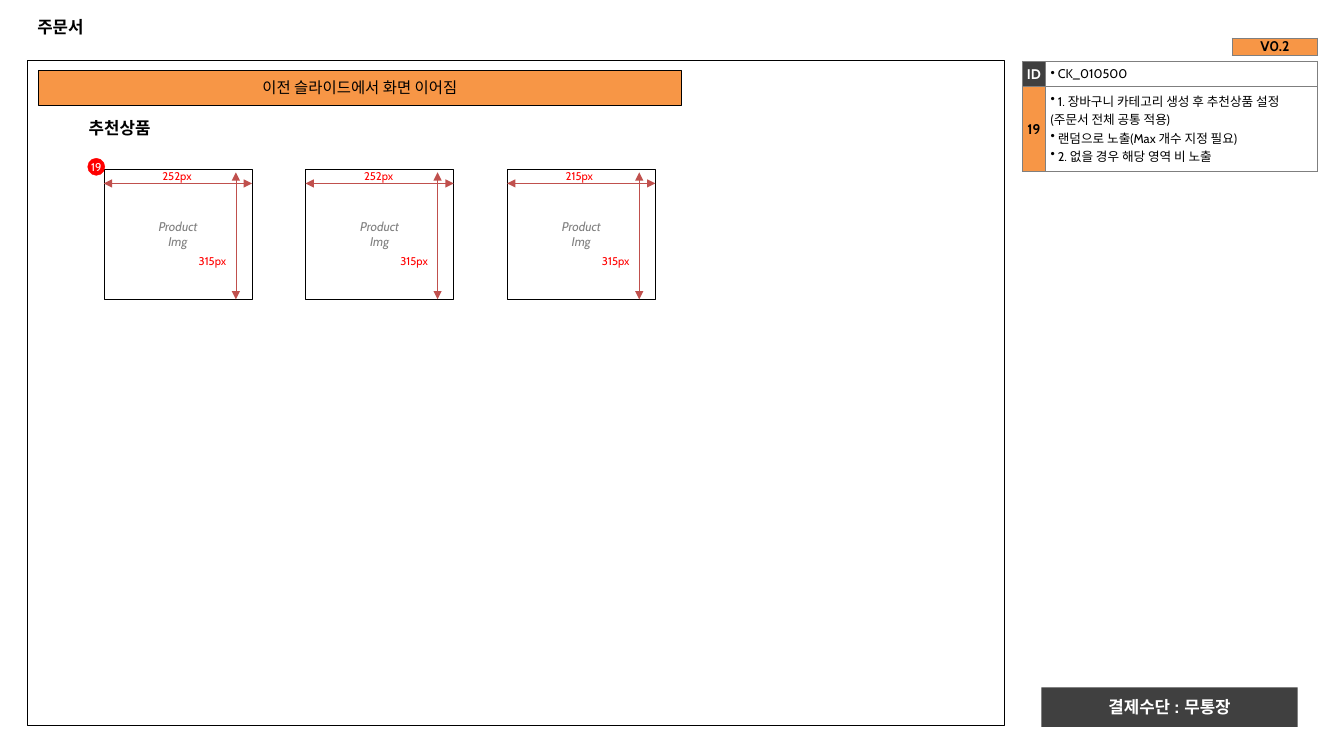
from dataclasses import dataclass

from lxml import etree
from pptx import Presentation
from pptx import util as u
from pptx.dml.color import RGBColor
from pptx.enum import shapes, text
from pptx.oxml import ns

PX = 9144  # 100 px to the inch
HEX = {
    "black": "000000", "white": "FFFFFF", "dark": "404040", "grey": "7F7F7F",
    "hint": "808080", "orange": "F79646", "red": "FF0000", "brick": "C0504D",
}
RECT = shapes.MSO_SHAPE.RECTANGLE
OVAL = shapes.MSO_SHAPE.OVAL
MID = text.MSO_ANCHOR.MIDDLE
LEFT, CENTER = text.PP_ALIGN.LEFT, text.PP_ALIGN.CENTER


@dataclass(frozen=True)
class Box:
    x: int
    y: int
    w: int
    h: int

    def emu(self) -> tuple:
        return tuple(u.Emu(n * PX) for n in (self.x, self.y, self.w, self.h))


@dataclass(frozen=True)
class Style:
    size: int
    color: str = "black"
    bold: bool = False
    italic: bool = False
    font: str = "Cabin"
    align: int = CENTER


@dataclass(frozen=True)
class Card:
    """A product frame with its width label."""
    x: int
    width: str


@dataclass(frozen=True)
class Cell:
    words: str
    style: Style
    fill: str = ""
    pad: int = 0
    bullet: bool = False


HEAD = Style(12, bold=True, font="Arial", align=LEFT)
PART = Style(12, bold=True, align=LEFT)
PAY = Style(12, "white", bold=True, font="Arial")
BAR = Style(11)
HINT = Style(9, "hint", italic=True)
SIZE = Style(8, "red", align=LEFT)
BADGE = Style(8, "white")
TAG = Style(10, bold=True)
KEY = Style(10, "white", bold=True)
NOTE = Style(9, align=LEFT)

CARDS = [Card(103 + 200 * i, width)
         for i, width in enumerate(("252px", "252px", "215px"))]
NOTES = [
    [Cell("ID", KEY, "dark"), Cell(" CK_010500", NOTE, pad=5, bullet=True)],
    [Cell("19", TAG, "orange"),
     Cell(" 1. 장바구니 카테고리 생성 후 추천상품 설정(주문서 전체 공통 적용)\n"
          " 랜덤으로 노출(Max 개수 지정 필요)\n"
          " 2. 없을 경우 해당 영역 비 노출", NOTE, pad=5, bullet=True)],
]


def rgb(name: str) -> RGBColor:
    return RGBColor.from_string(HEX[name])


def write(frame, words: str, style: Style, bullet: bool = False) -> None:
    frame.text = words
    for para in frame.paragraphs:
        para.alignment = style.align
        if bullet:
            props = para._p.get_or_add_pPr()
            props.set("marL", "0")
            props.set("indent", "0")
            etree.SubElement(props, ns.qn("a:buChar")).set("char", "•")
        for run in para.runs:
            font = run.font
            font.name, font.size = style.font, u.Pt(style.size)
            font.bold, font.italic = style.bold, style.italic
            font.color.rgb = rgb(style.color)


def inset(frame, pad: int) -> None:
    """Set the same margin on all sides of a text frame or cell."""
    for side in ("left", "top", "right", "bottom"):
        setattr(frame, f"margin_{side}", u.Emu(pad * PX))


def block(slide, box: Box, fill: str = "", line: str = "", wide: float = 0.25,
          words: str = "", style: Style = BAR, kind: int = RECT,
          pad: int = 4) -> None:
    shape = slide.shapes.add_shape(kind, *box.emu())
    shape.shadow.inherit = False
    if fill:
        shape.fill.solid()
        shape.fill.fore_color.rgb = rgb(fill)
    else:
        shape.fill.background()
    if line:
        shape.line.color.rgb = rgb(line)
        shape.line.width = u.Pt(wide)
    else:
        shape.line.fill.background()
    if words:
        frame = shape.text_frame
        inset(frame, pad)
        frame.vertical_anchor = MID
        write(frame, words, style)


def label(slide, box: Box, words: str, style: Style) -> None:
    frame = slide.shapes.add_textbox(*box.emu()).text_frame
    inset(frame, 4)
    frame.vertical_anchor = MID
    frame.word_wrap = False
    write(frame, words, style)


def arrow(slide, x: int, y: int, to_x: int, to_y: int) -> None:
    ends = (u.Emu(n * PX) for n in (x, y, to_x, to_y))
    link = slide.shapes.add_connector(shapes.MSO_CONNECTOR.STRAIGHT, *ends)
    link.line.color.rgb = rgb("brick")
    link.line.width = u.Pt(0.25)
    for end in ("a:headEnd", "a:tailEnd"):
        etree.SubElement(link.line._ln, ns.qn(end)).set("type", "triangle")
    etree.SubElement(link._element.spPr, ns.qn("a:effectLst"))


def edge(cell) -> None:
    """Draw a grey border round a cell."""
    props = cell._tc.get_or_add_tcPr()
    for i, side in enumerate("LRTB"):
        line = etree.Element(ns.qn(f"a:ln{side}"), w=str(u.Pt(1)))
        fill = etree.SubElement(line, ns.qn("a:solidFill"))
        etree.SubElement(fill, ns.qn("a:srgbClr")).set("val", HEX["grey"])
        props.insert(i, line)


def grid(slide, x: int, y: int, cols: list[int], rows: list[int],
         cells: list[list[Cell]]) -> None:
    box = Box(x, y, sum(cols), sum(rows))
    table = slide.shapes.add_table(len(rows), len(cols), *box.emu()).table
    table.first_row = table.horz_banding = False
    for col, w in zip(table.columns, cols):
        col.width = u.Emu(w * PX)
    for row, h, line in zip(table.rows, rows, cells):
        row.height = u.Emu(h * PX)
        for cell, item in zip(row.cells, line):
            inset(cell, item.pad)
            if item.fill:
                cell.vertical_anchor = MID
                cell.fill.solid()
                cell.fill.fore_color.rgb = rgb(item.fill)
            else:
                cell.fill.background()
            write(cell.text_frame, item.words, item.style, item.bullet)
            edge(cell)


def product(slide, card: Card) -> None:
    x, y, w, h = card.x, 168, 147, 129
    block(slide, Box(x, y, w, h), line="black", words="Product\nImg", style=HINT)
    arrow(slide, x, y + 14, x + w, y + 14)
    label(slide, Box(x + 54, y - 4, 38, 21), card.width, SIZE)
    arrow(slide, x + 131, y + h, x + 131, y + 3)
    label(slide, Box(x + 90, y + 80, 38, 21), "315px", SIZE)


def main() -> None:
    deck = Presentation()
    deck.slide_width, deck.slide_height = u.Emu(1333 * PX), u.Emu(750 * PX)
    slide = deck.slides.add_slide(deck.slide_layouts[5])

    title = slide.shapes.title
    title.left, title.top, title.width, title.height = Box(27, 7, 1279, 39).emu()
    title.text_frame.vertical_anchor = MID
    write(title.text_frame, "주문서", HEAD)

    block(slide, Box(27, 60, 969, 660), line="black", wide=0.75)
    grid(slide, 1014, 61, [23, 270], [25, 84], NOTES)
    block(slide, Box(1033, 682, 254, 39), "dark", words="결제수단 : 무통장", style=PAY)
    grid(slide, 1222, 38, [85], [17], [[Cell("V0.2", TAG, "orange")]])
    label(slide, Box(84, 111, 100, 32), "추천상품", PART)
    for card in CARDS:
        product(slide, card)
    block(slide, Box(87, 157, 17, 17), "red", "red", words="19", style=BADGE,
          kind=OVAL, pad=0)
    block(slide, Box(38, 70, 638, 34), "orange", "black",
          words="이전 슬라이드에서 화면 이어짐", style=BAR)
    deck.save("out.pptx")


if __name__ == "__main__":
    main()
